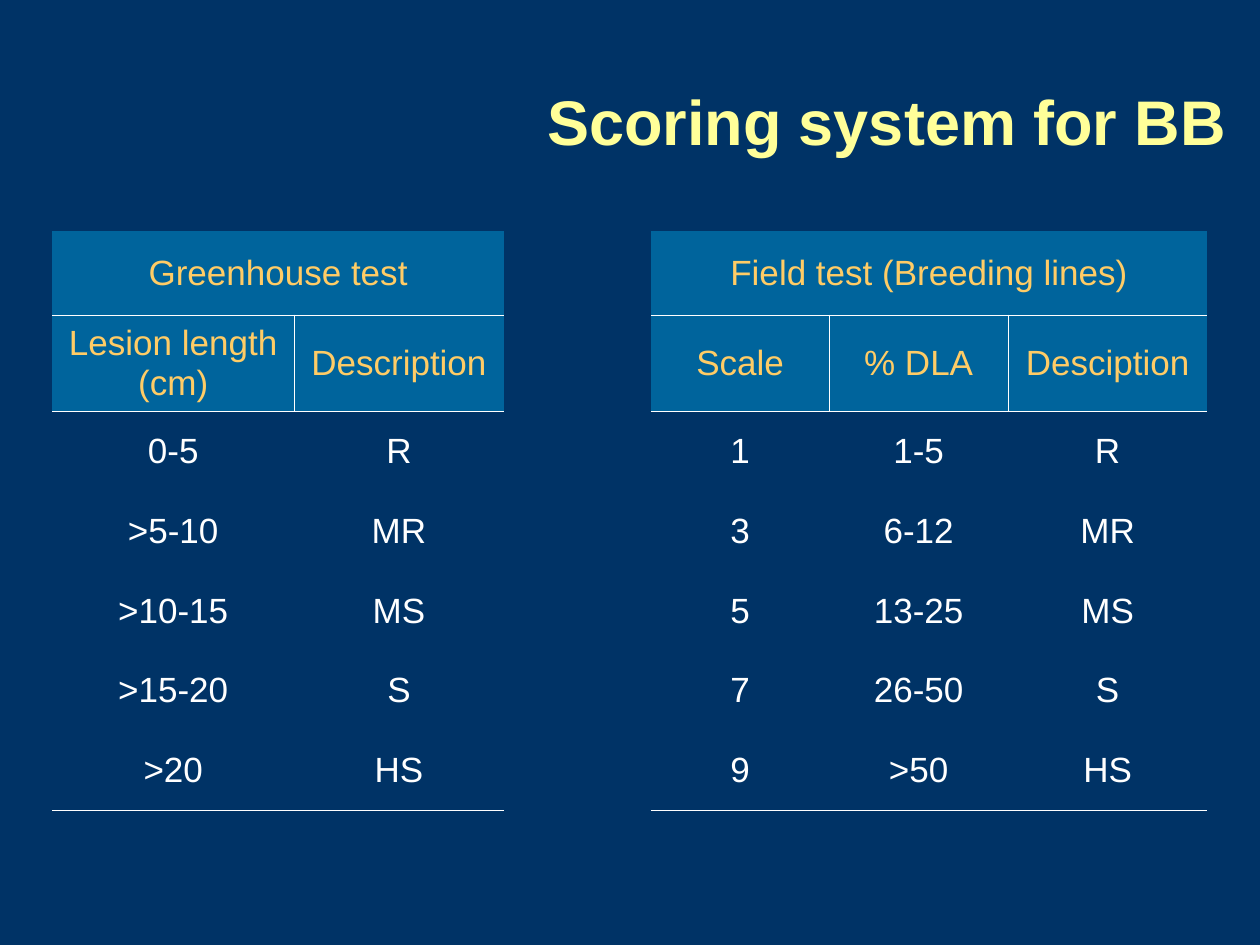
from dataclasses import dataclass

from lxml import etree
from pptx import Presentation, util as u
from pptx.dml.color import RGBColor
from pptx.enum import text
from pptx.oxml import ns


@dataclass(frozen=True)
class Theme:
    font: str = "Arial"
    page: str = "003366"
    band: str = "00649C"
    title: str = "FFFF99"
    header: str = "FFCC66"
    body: str = "FFFFFF"
    rule: str = "FFFFFF"
    title_size: int = 36
    table_size: int = 20
    thin: float = 0.45
    thick: float = 1.08


class Deck:
    """Draw styled elements on the current slide, in twelfths of an inch."""

    def __init__(self, prs, theme):
        self.prs, self.theme = prs, theme
        prs.slide_width, prs.slide_height = self.grid(120, 90)

    def grid(self, *units):
        return [u.Inches(n / 12) for n in units]

    def slide(self):
        self.s = self.prs.slides.add_slide(self.prs.slide_layouts[5])
        fill = self.s.background.fill
        fill.solid()
        fill.fore_color.rgb = RGBColor.from_string(self.theme.page)

    def label(self, tf, words, size, color, align, bold=False):
        tf.text = words
        p = tf.paragraphs[0]
        p.alignment = align
        for r in p.runs:
            r.font.name, r.font.size, r.font.bold = self.theme.font, u.Pt(size), bold
            r.font.color.rgb = RGBColor.from_string(color)

    def title(self, words, box):
        sp = self.s.shapes.title
        sp.left, sp.top, sp.width, sp.height = self.grid(*box)
        tf = sp.text_frame
        self.label(tf, words, self.theme.title_size, self.theme.title, text.PP_ALIGN.RIGHT, True)
        tf.word_wrap = True
        tf.auto_size = text.MSO_AUTO_SIZE.NONE
        tf.vertical_anchor = text.MSO_ANCHOR.MIDDLE

    def borders(self, cell, widths):
        tc_pr = cell._tc.get_or_add_tcPr()
        for side in "LRTB":
            ln = etree.SubElement(tc_pr, ns.qn(f"a:ln{side}"))
            if side in widths:
                ln.set("w", str(u.Pt(widths[side])))
                fill = etree.SubElement(ln, ns.qn("a:solidFill"))
                etree.SubElement(fill, ns.qn("a:srgbClr"), val=self.theme.rule)
            else:
                ln.set("w", "0")
                etree.SubElement(ln, ns.qn("a:noFill"))

    def cell(self, cell, words, widths, is_header):
        self.borders(cell, widths)
        if is_header:
            cell.fill.solid()
            cell.fill.fore_color.rgb = RGBColor.from_string(self.theme.band)
        else:
            cell.fill.background()
        cell.vertical_anchor = text.MSO_ANCHOR.MIDDLE
        color = self.theme.header if is_header else self.theme.body
        self.label(cell.text_frame, words, self.theme.table_size, color, text.PP_ALIGN.CENTER)

    def table(self, corner, cols, rows, data, groups, headers=2):
        box = self.grid(*corner, sum(cols), sum(rows))
        tbl = self.s.shapes.add_table(len(rows), len(cols), *box).table
        tbl.first_row = tbl.horz_banding = False
        for col, width in zip(tbl.columns, self.grid(*cols)):
            col.width = width
        for row, height in zip(tbl.rows, self.grid(*rows)):
            row.height = height
        starts, ends = zip(*groups)
        filled = {c for a, b in groups for c in range(a, b + 1)}
        for i, line in enumerate(data):
            for c, words in enumerate(line):
                widths = {}
                if c in filled:
                    if 0 < i <= headers:
                        widths["T"] = self.theme.thin
                    if i < headers:
                        widths["B"] = self.theme.thin
                    if i == len(data) - 1:
                        widths["B"] = self.theme.thick
                    if i == headers - 1 and c not in starts:
                        widths["L"] = self.theme.thin
                    if i == headers - 1 and c not in ends:
                        widths["R"] = self.theme.thin
                self.cell(tbl.cell(i, c), words, widths, i < headers and c in filled)
        for a, b in groups:
            tbl.cell(0, a).merge(tbl.cell(0, b))


SCORES = [
    ("Greenhouse test", "", "", "Field test (Breeding lines)", "", ""),
    ("Lesion length (cm)", "Description", "", "Scale", "% DLA", "Desciption"),
    ("0-5", "R", "", "1", "1-5", "R"),
    (">5-10", "MR", "", "3", "6-12", "MR"),
    (">10-15", "MS", "", "5", "13-25", "MS"),
    (">15-20", "S", "", "7", "26-50", "S"),
    (">20", "HS", "", "9", ">50", "HS"),
]


def main():
    prs = Presentation()
    deck = Deck(prs, Theme())
    deck.slide()
    deck.title("Scoring system for BB", (16, 4, 102, 15))
    deck.table((5, 22), (23, 20, 14, 17, 17, 19), (8, 9.2) + (7.6,) * 5,
               SCORES, groups=[(0, 1), (3, 5)])
    prs.save("out.pptx")


if __name__ == "__main__":
    main()
